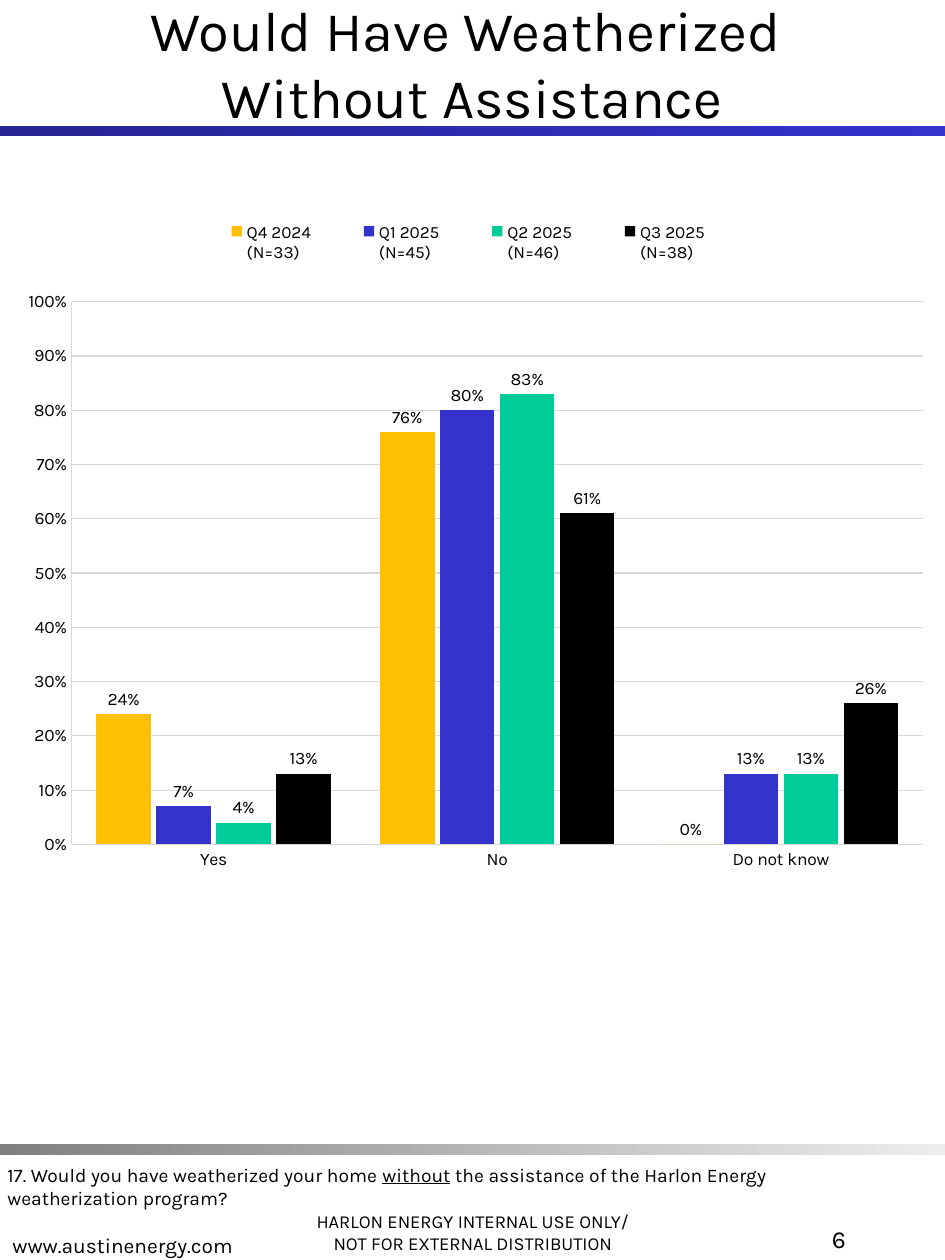
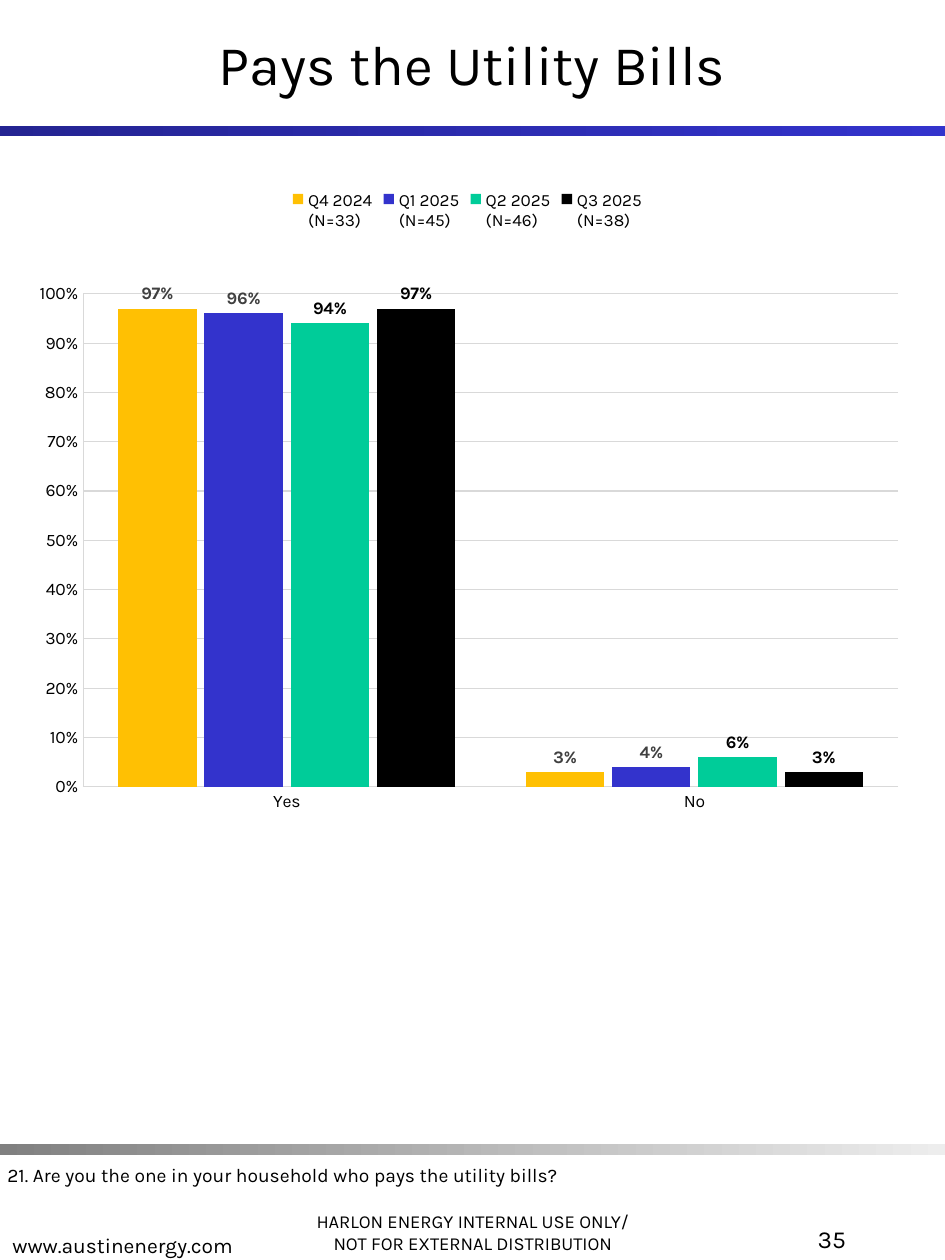
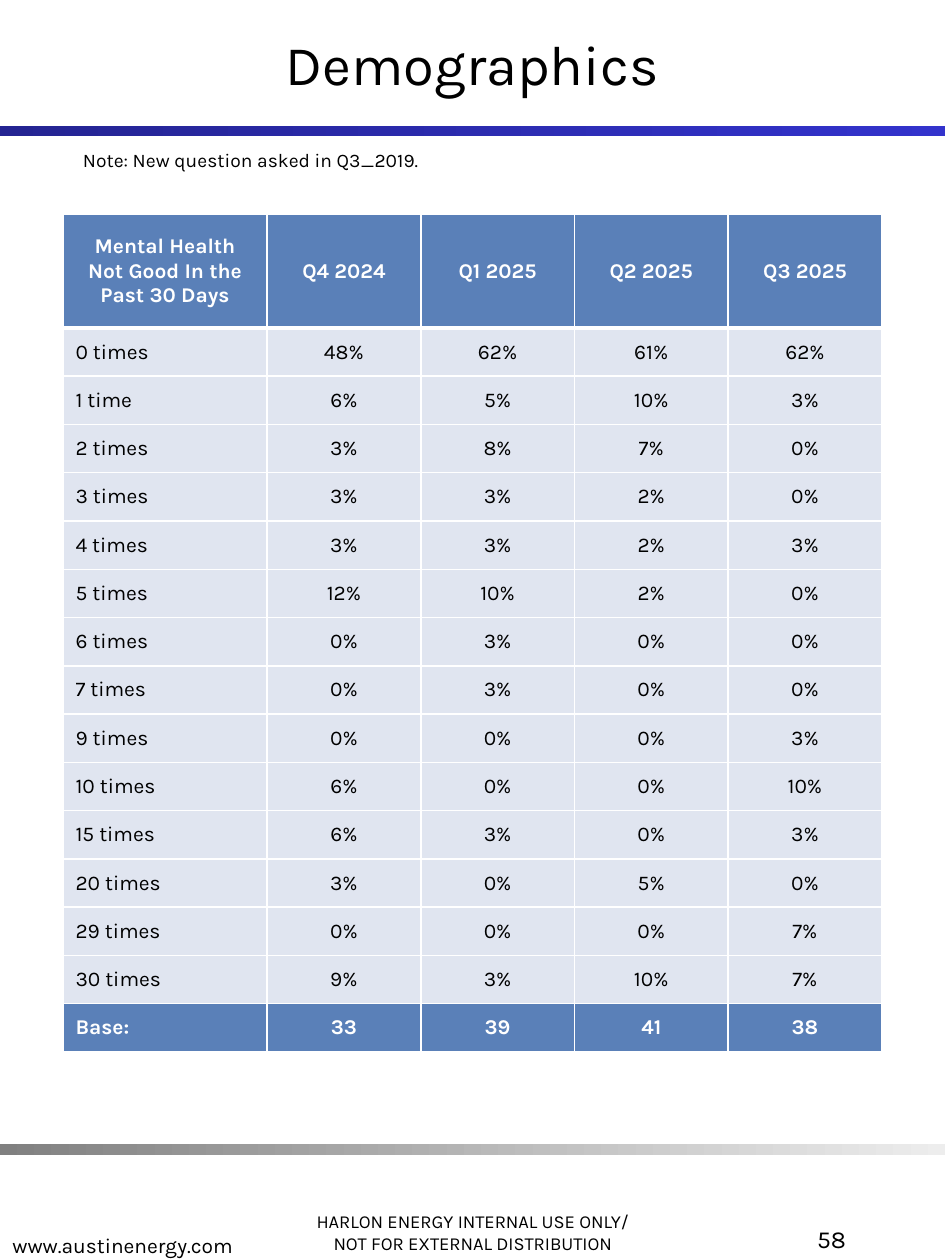
from lxml import etree
from pptx import Presentation
from pptx.chart.data import CategoryChartData
from pptx.dml.color import RGBColor
from pptx.enum.chart import XL_CHART_TYPE, XL_LABEL_POSITION, XL_LEGEND_POSITION, XL_TICK_MARK
from pptx.enum.shapes import MSO_SHAPE
from pptx.enum.text import MSO_ANCHOR, MSO_AUTO_SIZE, PP_ALIGN
from pptx.oxml.ns import qn
from pptx.util import Pt

# Enum members
RECT = MSO_SHAPE.RECTANGLE
COLUMN = XL_CHART_TYPE.COLUMN_CLUSTERED
OUTSIDE = XL_LABEL_POSITION.OUTSIDE_END
LEGEND_TOP = XL_LEGEND_POSITION.TOP
NO_TICK = XL_TICK_MARK.NONE
LEFT, CENTER, RIGHT = PP_ALIGN.LEFT, PP_ALIGN.CENTER, PP_ALIGN.RIGHT
TOP, MIDDLE, BOTTOM = MSO_ANCHOR.TOP, MSO_ANCHOR.MIDDLE, MSO_ANCHOR.BOTTOM
GROW, FIXED = MSO_AUTO_SIZE.SHAPE_TO_FIT_TEXT, MSO_AUTO_SIZE.NONE

# Shared look
FACE = "Karla"
WIDE, HIGH = 540, 720
BLACK = RGBColor(0x00, 0x00, 0x00)
WHITE = RGBColor(0xFF, 0xFF, 0xFF)
NAVY = RGBColor(0x24, 0x24, 0x92)
BLUE = RGBColor(0x33, 0x33, 0xCC)
GRAY = RGBColor(0x80, 0x80, 0x80)
PALE = RGBColor(0xED, 0xED, 0xED)
RULE = RGBColor(0xD9, 0xD9, 0xD9)
DARK = RGBColor(0x40, 0x40, 0x40)
GOLD = RGBColor(0xFF, 0xC0, 0x03)
GREEN = RGBColor(0x00, 0xCC, 0x99)
STEEL = RGBColor(0x5A, 0x80, 0xB8)
MIST = RGBColor(0xE0, 0xE5, 0xF0)
BARS = [GOLD, BLUE, GREEN, BLACK]

TERMS = ["Q4 2024", "Q1 2025", "Q2 2025", "Q3 2025"]
COUNTS = [33, 45, 46, 38]
BREAK = "\v"

# Table content: label and one percentage for each quarter
TIMES = [
    ("0 times", 48, 62, 61, 62),
    ("1 time", 6, 5, 10, 3),
    ("2 times", 3, 8, 7, 0),
    ("3 times", 3, 3, 2, 0),
    ("4 times", 3, 3, 2, 3),
    ("5 times", 12, 10, 2, 0),
    ("6 times", 0, 3, 0, 0),
    ("7 times", 0, 3, 0, 0),
    ("9 times", 0, 0, 0, 3),
    ("10 times", 6, 0, 0, 10),
    ("15 times", 6, 3, 0, 3),
    ("20 times", 3, 0, 5, 0),
    ("29 times", 0, 0, 0, 7),
    ("30 times", 9, 3, 10, 7),
]


def points(box):
    return [Pt(n) for n in box]


def style(font, size, color=BLACK, **more):
    look = {"name": FACE, "size": Pt(size), **more}
    for key, value in look.items():
        setattr(font, key, value)
    font.color.rgb = color


def add_text(slide, box, paras, size, align=LEFT, anchor=TOP, fit=FIXED):
    """Each paragraph is a list of runs; a run is a string or (string, format)."""
    frame = slide.shapes.add_textbox(*points(box)).text_frame
    look = {"word_wrap": True, "auto_size": fit, "vertical_anchor": anchor}
    for key, value in look.items():
        setattr(frame, key, value)
    for n, parts in enumerate(paras):
        para = frame.add_paragraph() if n else frame.paragraphs[0]
        para.alignment = align
        for part in parts:
            if part == BREAK:
                para.add_line_break()
                continue
            words, more = (part, {}) if isinstance(part, str) else part
            run = para.add_run()
            run.text = words
            style(run.font, size, **more)


def add_band(slide, top, start, end):
    band = slide.shapes.add_shape(RECT, *points((0, top, WIDE, 6)))
    band.shadow.inherit = False
    band.line.fill.background()
    band.fill.gradient()
    band.fill.gradient_angle = 0
    for stop, color in zip(band.fill.gradient_stops, (start, end)):
        stop.color.rgb = color


def add_page(deck, title, number):
    slide = deck.slides.add_slide(deck.slide_layouts[6])
    add_band(slide, 72, NAVY, BLUE)
    add_band(slide, 653.8, GRAY, PALE)
    notice = [["HARLON ENERGY INTERNAL USE ONLY/"], ["NOT FOR EXTERNAL DISTRIBUTION"]]
    add_text(slide, (155.2, 672, 230, 48), notice, 10.5, CENTER, BOTTOM)
    add_text(slide, (0, 674, 230, 48), [["www.austinenergy.com"]], 12, anchor=BOTTOM)
    add_text(slide, (0, 0, WIDE, 72), [title], 32, CENTER, MIDDLE)
    add_text(slide, (378, 696, 112.5, 48), [[str(number)]], 14, RIGHT)
    return slide


def add_query(slide, parts, height):
    add_text(slide, (-2.9, 661, 493.2, height), [parts], 11, fit=GROW)


def place(parent, spots, inner=False):
    """Give a plot area or legend a manual layout, in shares of the chart."""
    for old in parent.findall(qn("c:layout")):
        parent.remove(old)
    layout = etree.Element(qn("c:layout"))
    manual = etree.SubElement(layout, qn("c:manualLayout"))
    marks = [("layoutTarget", "inner")] if inner else []
    marks += [("xMode", "edge"), ("yMode", "edge"), *zip("xywh", spots)]
    for tag, value in marks:
        etree.SubElement(manual, qn("c:" + tag)).set("val", str(value))
    parent.insert(0 if inner else 1, layout)


def add_bars(slide, box, groups, rows, plot_box, key_box=None, inks=(BLACK,) * 4, bold=False):
    data = CategoryChartData(number_format="0%")
    data.categories = groups
    for term, count, row in zip(TERMS, COUNTS, rows):
        data.add_series(f"{term}\n(N={count})", row)
    chart = slide.shapes.add_chart(COLUMN, *points(box), data).chart
    chart.has_title = False
    style(chart.font, 10)

    # Legend and plot area
    chart.has_legend = True
    legend = chart.legend
    legend.position = LEGEND_TOP
    legend.include_in_layout = False
    style(legend.font, 9.8)
    if key_box:
        place(legend._element, key_box)
    place(chart._chartSpace.chart.plotArea, plot_box, inner=True)

    # Axes
    scale = chart.value_axis
    look = {"minimum_scale": 0, "maximum_scale": 1, "major_unit": 0.1, "has_major_gridlines": True}
    for key, value in look.items():
        setattr(scale, key, value)
    scale.tick_labels.number_format = "0%"
    scale.tick_labels.number_format_is_linked = False
    for axis, width in ((chart.category_axis, 0.62), (scale, 0.41)):
        axis.major_tick_mark = axis.minor_tick_mark = NO_TICK
        style(axis.tick_labels.font, 10)
        axis.format.line.color.rgb = RULE
        axis.format.line.width = Pt(width)
    grid = scale.major_gridlines.format.line
    grid.color.rgb = RULE
    grid.width = Pt(0.62)

    # Columns and their labels
    plot = chart.plots[0]
    for key, value in {"gap_width": 90, "overlap": -10, "vary_by_categories": False}.items():
        setattr(plot, key, value)
    look = {"show_value": True, "number_format": "0%",
            "number_format_is_linked": False, "position": OUTSIDE}
    for series, color, ink in zip(plot.series, BARS, inks):
        series.invert_if_negative = False
        series.format.fill.solid()
        series.format.fill.fore_color.rgb = color
        labels = series.data_labels
        for key, value in look.items():
            setattr(labels, key, value)
        style(labels.font, 10, ink, bold=bold)


def add_edge(cell, side, width):
    line = etree.SubElement(cell._tc.get_or_add_tcPr(), qn("a:ln" + side), w=str(Pt(width)))
    fill = etree.SubElement(line, qn("a:solidFill"))
    etree.SubElement(fill, qn("a:srgbClr"), val=str(WHITE))


def fill_cell(cell, words, align, strong, edges):
    for side, width in zip("LRTB", edges):
        add_edge(cell, side, width)
    cell.fill.solid()
    cell.fill.fore_color.rgb = STEEL if strong else MIST
    cell.vertical_anchor = MIDDLE
    para = cell.text_frame.paragraphs[0]
    para.alignment = align
    run = para.add_run()
    run.text = words
    style(run.font, 12, WHITE if strong else BLACK, bold=strong)


def add_grid(slide, rows):
    last = len(rows) - 1
    frame = slide.shapes.add_table(len(rows), 5, *points((36, 122.6, 468, 478.8)))
    table = frame.table
    table.horz_banding = False
    for n, col in enumerate(table.columns):
        col.width = Pt(87.84 if n else 116.64)
    for r, row in enumerate(rows):
        table.rows[r].height = Pt(27.6 if r else 64.8)
        edges = (1, 1, 3 if r == 1 else 1, 1 if r else 3)
        for c, words in enumerate(row):
            align = LEFT if r and not c else CENTER
            fill_cell(table.cell(r, c), words, align, r in (0, last), edges)


def main():
    deck = Presentation()
    deck.slide_width, deck.slide_height = Pt(WIDE), Pt(HIGH)

    # Weatherized without help
    slide = add_page(deck, ["Would Have Weatherized ", BREAK, "Without Assistance"], 6)
    add_query(slide, ["17. Would you have weatherized your home ",
                      ("without", {"underline": True}),
                      " the assistance of the Harlon Energy weatherization program?"], 34.6)
    add_bars(slide, (4.3, 117.4, 532, 385.2), ["Yes", "No", "Do not know"],
             [(0.24, 0.76, 0), (0.07, 0.8, 0.13), (0.04, 0.83, 0.13), (0.13, 0.61, 0.26)],
             (0.069, 0.143, 0.914, 0.805), key_box=(0.19, 0.01, 0.61, 0.09))

    # Who pays the bills
    slide = add_page(deck, ["Pays the Utility Bills"], 35)
    add_query(slide, ["21. Are you the one in your household who pays the utility bills?"], 20.9)
    add_bars(slide, (12.2, 100.8, 509.8, 370.8), ["Yes", "No"],
             [(0.97, 0.03), (0.96, 0.04), (0.94, 0.06), (0.97, 0.03)],
             (0.069, 0.181, 0.914, 0.76), inks=(DARK, DARK, BLACK, BLACK), bold=True)

    # Mental health table
    slide = add_page(deck, ["Demographics"], 58)
    add_text(slide, (40.3, 81.4, 463.7, 20.9), [["Note: New question asked in Q3_2019."]], 11, fit=GROW)
    head = ["Mental Health Not Good In the Past 30 Days", *TERMS]
    body = [[label, *(f"{n}%" for n in shares)] for label, *shares in TIMES]
    add_grid(slide, [head, *body, ["Base:", "33", "39", "41", "38"]])

    deck.save("out.pptx")


if __name__ == "__main__":
    main()
